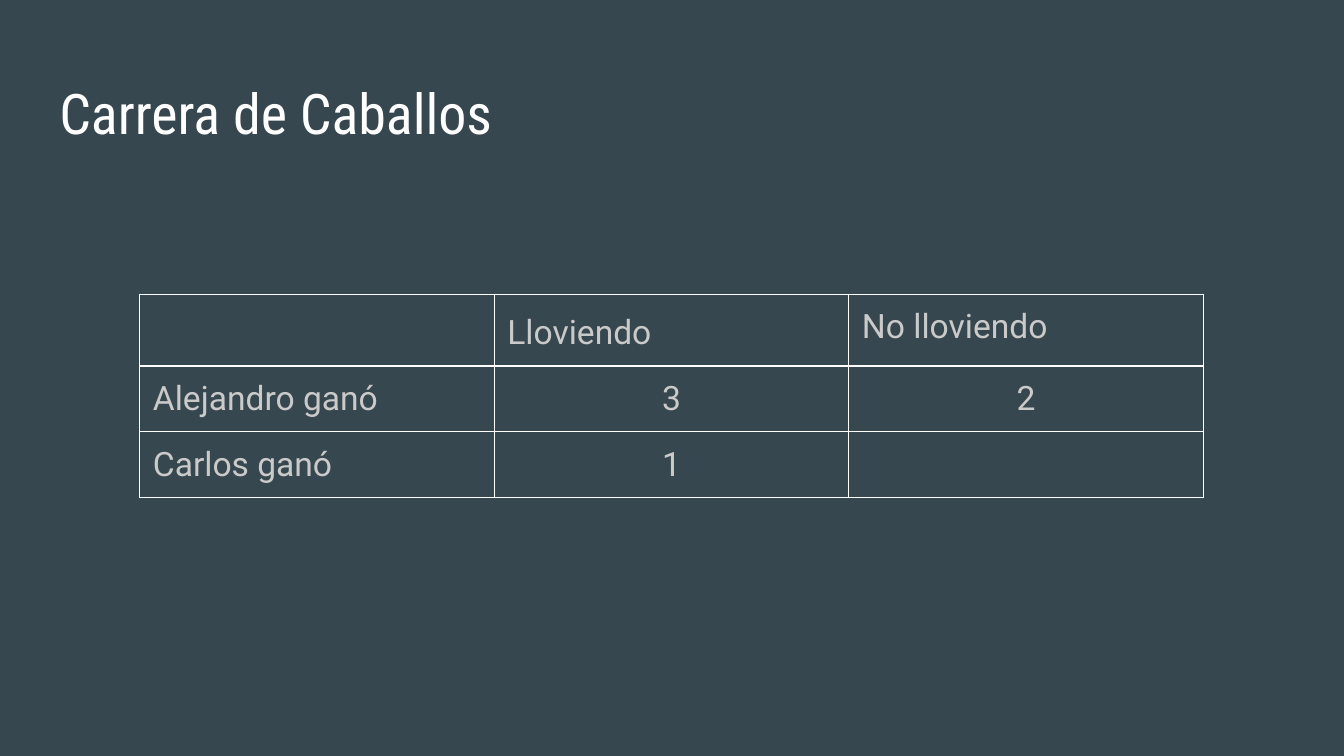
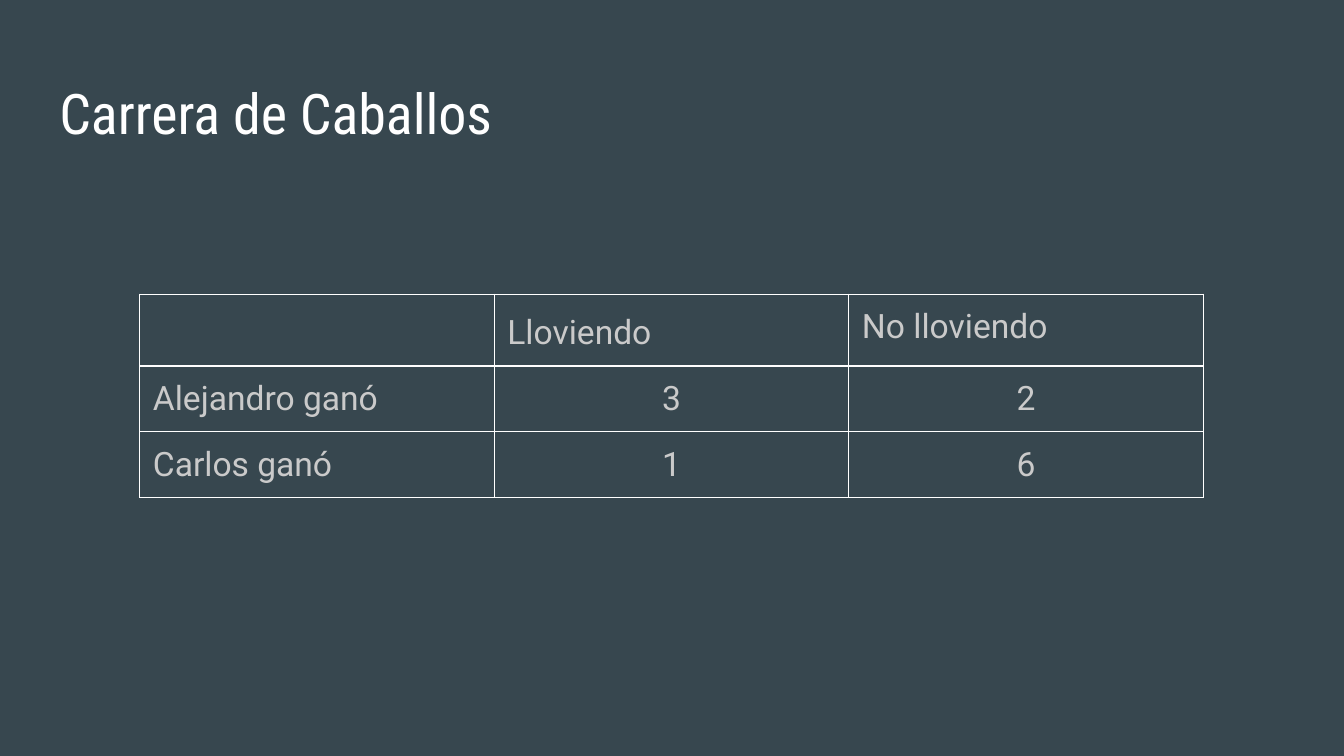
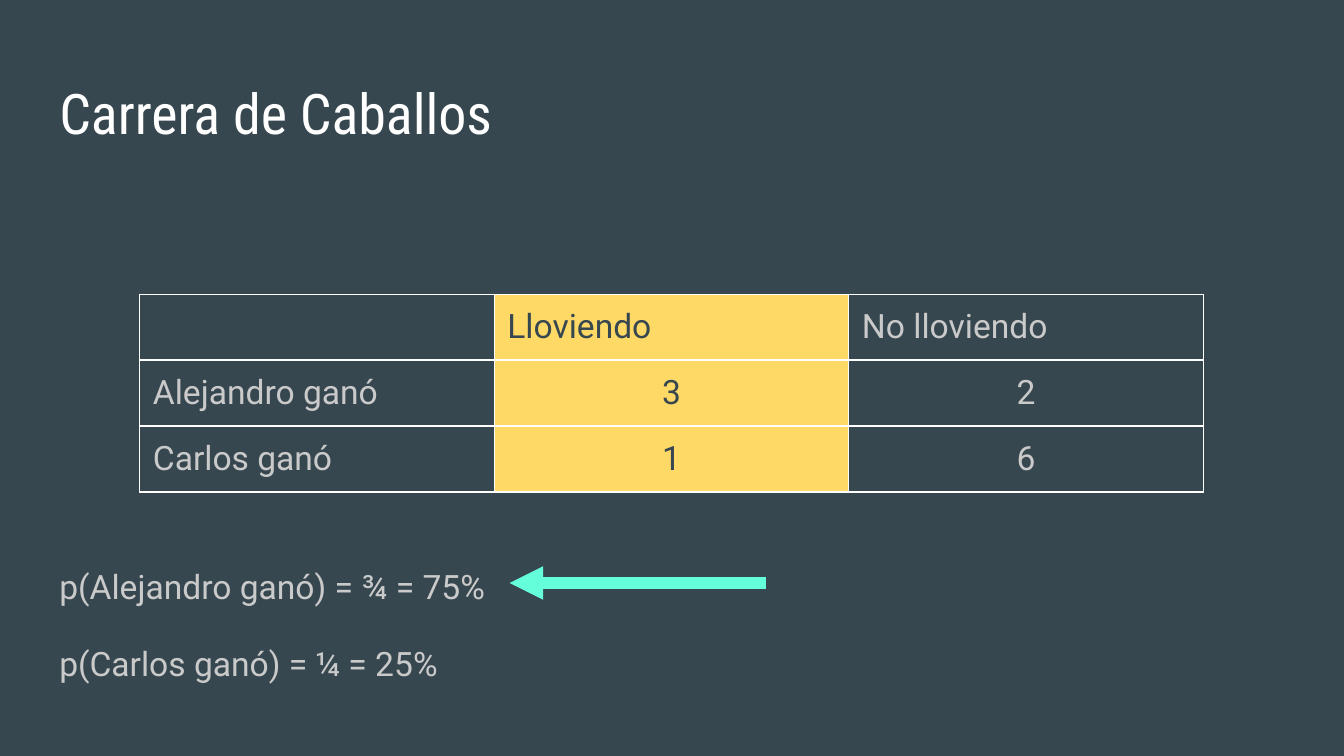
from lxml import etree
from pptx import Presentation
from pptx.dml.color import RGBColor
from pptx.enum.shapes import MSO_CONNECTOR
from pptx.enum.text import MSO_ANCHOR, MSO_AUTO_SIZE, PP_ALIGN
from pptx.oxml.ns import qn
from pptx.util import Cm, Pt

STRAIGHT = MSO_CONNECTOR.STRAIGHT
TOP = MSO_ANCHOR.TOP
NO_AUTOFIT = MSO_AUTO_SIZE.NONE
LEFT, CENTER = PP_ALIGN.LEFT, PP_ALIGN.CENTER

SLATE = RGBColor(0x37, 0x47, 0x4F)
WHITE = RGBColor(0xFF, 0xFF, 0xFF)
GREY = RGBColor(0xCA, 0xCA, 0xCA)
YELLOW = RGBColor(0xFF, 0xD9, 0x66)
AQUA = RGBColor(0x64, 0xFF, 0xDA)

TITLE_FONT, BODY_FONT = "Roboto Condensed", "Roboto"
TITLE_ONLY, TITLE_AND_BODY = 5, 1
INSET = Cm(0.25)
MARGIN, CONTENT_WIDTH = Cm(0.87), Cm(23.67)
LOOSE = {"line_spacing": 1.15, "space_after": Pt(16)}


def write(p, text, font=BODY_FONT, size=18, color=GREY, align=LEFT,
          line_spacing=1.0, space_after=Pt(0)):
    """Write one formatted run into a paragraph."""
    p.alignment = align
    p.line_spacing = line_spacing
    p.space_before = Pt(0)
    p.space_after = space_after
    r = p.add_run()
    r.text = text
    r.font.name = font
    r.font.size = Pt(size)
    r.font.color.rgb = color


def set_insets(box):
    """Give a text frame or a table cell equal insets."""
    box.margin_left = box.margin_right = INSET
    box.margin_top = box.margin_bottom = INSET


def place(sp, top, height):
    """Move a placeholder to the content column and return its text frame."""
    sp.left, sp.top, sp.width, sp.height = MARGIN, top, CONTENT_WIDTH, height
    tf = sp.text_frame
    tf.auto_size = NO_AUTOFIT
    tf.word_wrap = True
    tf.vertical_anchor = TOP
    set_insets(tf)
    return tf


def add_slide(prs, layout, title):
    """Add a slide with its title."""
    s = prs.slides.add_slide(prs.slide_layouts[layout])
    tf = place(s.shapes.title, Cm(1.24), Cm(1.6))
    write(tf.paragraphs[0], title, font=TITLE_FONT, size=30, color=WHITE)
    return s


def add_body(s, lines):
    """Fill the body with plain lines that start below the table."""
    tf = place(s.placeholders[1], Cm(3.2), Cm(9.5))
    tf.margin_top, tf.margin_bottom = Cm(7.39), Cm(0)
    for i, line in enumerate(lines):
        p = tf.add_paragraph() if i else tf.paragraphs[0]
        write(p, line, **LOOSE)
        pPr = p._p.get_or_add_pPr()
        pPr.set("marL", "0")
        pPr.set("indent", "0")
        etree.SubElement(pPr, qn("a:buNone"))


def add_borders(cell):
    """Draw thin white lines on the four sides of a cell."""
    tcPr = cell._tc.get_or_add_tcPr()
    for side in ("lnL", "lnR", "lnT", "lnB"):
        ln = etree.SubElement(tcPr, qn(f"a:{side}"), w=str(Pt(0.75)))
        fill = etree.SubElement(ln, qn("a:solidFill"))
        etree.SubElement(fill, qn("a:srgbClr"), val=str(WHITE))


def add_race_table(s, alejandro, carlos, highlight=None):
    """Add the table of wins by weather, with one column optionally lit."""
    rows = [("", "Lloviendo", "No lloviendo"),
            ("Alejandro ganó", *alejandro),
            ("Carlos ganó", *carlos)]
    table = s.shapes.add_table(3, 3, Cm(2.64), Cm(5.56),
                               Cm(20.1), Cm(3.21)).table
    table.first_row = table.horz_banding = False
    for i, row in enumerate(rows):
        for j, text in enumerate(row):
            cell = table.cell(i, j)
            add_borders(cell)
            lit = j == highlight
            if lit:
                cell.fill.solid()
                cell.fill.fore_color.rgb = YELLOW
            else:
                cell.fill.background()
            if not text:
                continue
            set_insets(cell)
            spacing = LOOSE if text == "Lloviendo" and not lit else {}
            write(cell.text_frame.paragraphs[0], text,
                  color=SLATE if lit else GREY,
                  align=CENTER if i and j else LEFT, **spacing)


def add_arrow(s, tip, tail, y):
    """Add a thick horizontal arrow that points at its start."""
    sp = s.shapes.add_connector(STRAIGHT, tip, y, tail, y)
    sp.line.color.rgb = AQUA
    sp.line.width = Pt(6)
    etree.SubElement(sp.line._get_or_add_ln(), qn("a:headEnd"),
                     type="triangle")
    etree.SubElement(sp._element.spPr, qn("a:effectLst"))


def main():
    """Build and save the deck."""
    prs = Presentation()
    prs.slide_width, prs.slide_height = Cm(25.4), Cm(14.29)
    bg = prs.slide_master.background.fill
    bg.solid()
    bg.fore_color.rgb = SLATE

    title = "Carrera de Caballos"
    for last in ("", "6"):
        s = add_slide(prs, TITLE_ONLY, title)
        add_race_table(s, ("3", "2"), ("1", last))

    s = add_slide(prs, TITLE_AND_BODY, title)
    add_body(s, ["p(Alejandro ganó) = ¾ = 75%", "p(Carlos ganó) = ¼ = 25%"])
    add_race_table(s, ("3", "2"), ("1", "6"), highlight=1)
    add_arrow(s, Cm(9.63), Cm(14.48), Cm(11.02))

    prs.save("out.pptx")


if __name__ == "__main__":
    main()
